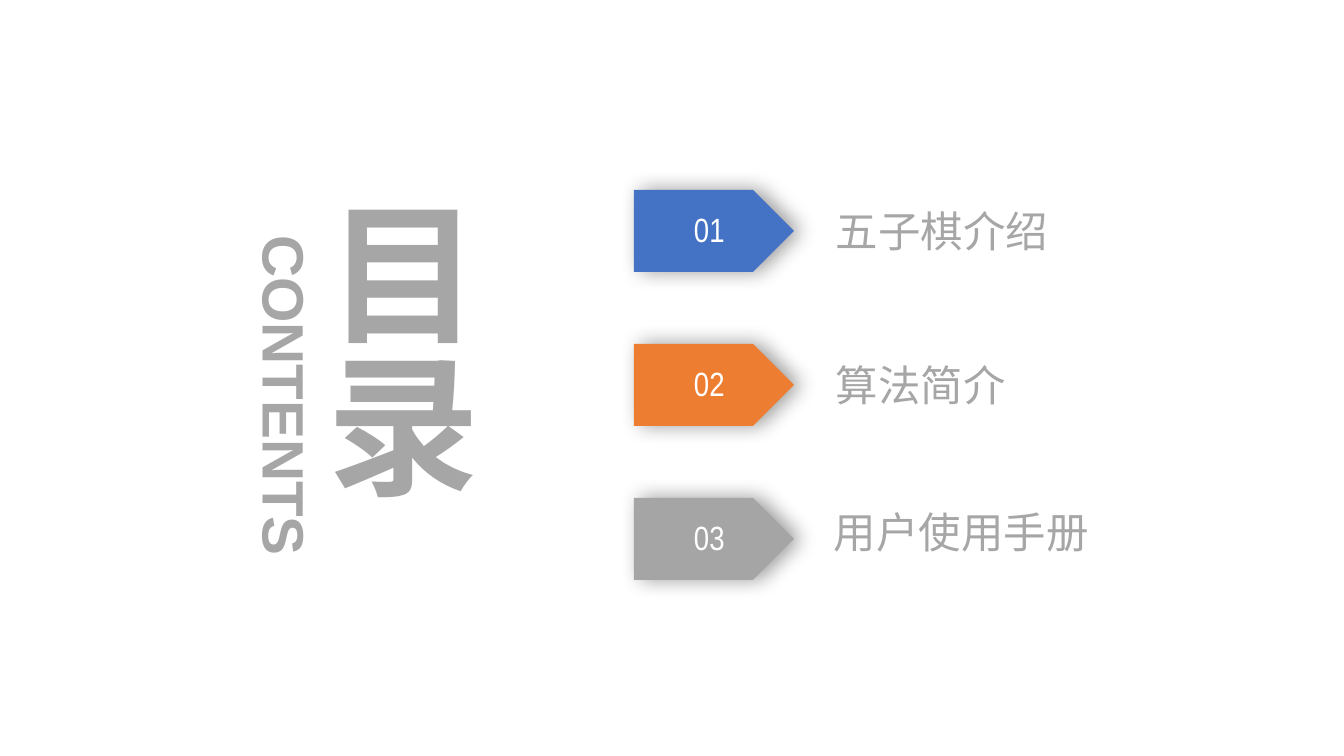
from dataclasses import dataclass

from lxml.etree import SubElement
from pptx import Presentation
from pptx.dml.color import RGBColor
from pptx.enum.shapes import MSO_SHAPE
from pptx.enum.text import MSO_ANCHOR, MSO_AUTO_SIZE, PP_ALIGN
from pptx.oxml.ns import qn
from pptx.util import Pt

TITLE = "目录"
SUBTITLE = "CONTENTS"
# number, arrow colour, label, label offset from the regular place (x, y) in px
CHAPTERS = [
    ("01", "4472C4", "五子棋介绍", (0, 0)),
    ("02", "ED7D31", "算法简介", (0, 0)),
    ("03", "A5A5A5", "用户使用手册", (-2, -7)),
]


@dataclass(frozen=True)
class Theme:
    font: str = "Arial"
    number_font: str = "Arial Narrow"
    grey: str = "A6A6A6"
    white: str = "FFFFFF"
    title_size: float = 109
    subtitle_size: float = 41.7
    label_size: float = 30.3
    number_size: float = 24


THEME = Theme()
EMU_PER_PX = 914400 / 100.8
SLIDE_SIZE = (1344, 756)
TITLE_BOX = (306, 197, 184, 396)
SUBTITLE_BOX = (113, 360, 345, 71)
ARROW_LEFT, ARROW_TOP, ARROW_WIDTH, ARROW_HEIGHT = 634, 190, 160, 82
CHAPTER_STEP = 154
LABEL_LEFT, LABEL_WIDTH, LABEL_HEIGHT = 836, 283, 51
ARROW_INSETS = (60, 5, 10, 8)


def px(length):
    return round(length * EMU_PER_PX)


def place(shape, box):
    shape.left, shape.top, shape.width, shape.height = map(px, box)


def write(shape, text, size, color=THEME.grey, font=THEME.font, bold=False,
          align=PP_ALIGN.LEFT, anchor=MSO_ANCHOR.MIDDLE, insets=(0, 0, 0, 0)):
    frame = shape.text_frame
    frame.text = text
    frame.word_wrap = True
    frame.auto_size = MSO_AUTO_SIZE.NONE
    frame.vertical_anchor = anchor
    (frame.margin_left, frame.margin_top,
     frame.margin_right, frame.margin_bottom) = map(px, insets)
    paragraph = frame.paragraphs[0]
    paragraph.alignment = align
    style = paragraph.runs[0].font
    style.name, style.size, style.bold = font, Pt(size), bold
    style.color.rgb = RGBColor.from_string(color)


def add_text(slide, box, text, size, **style):
    text_box = slide.shapes.add_textbox(*map(px, box))
    write(text_box, text, size, **style)
    return text_box


def add_soft_shadow(shape):
    shape.shadow.inherit = False
    effects = shape.element.spPr.find(qn("a:effectLst"))
    shadow = SubElement(effects, qn("a:outerShdw"), blurRad=str(Pt(15)),
                        dist=str(Pt(5)), dir="0", algn="ctr", rotWithShape="0")
    color = SubElement(shadow, qn("a:srgbClr"), val="000000")
    SubElement(color, qn("a:alpha"), val="40000")


def add_chapter(slide, index, number, color, label, offset):
    top = ARROW_TOP + index * CHAPTER_STEP
    arrow = slide.shapes.add_shape(
        MSO_SHAPE.PENTAGON, *map(px, (ARROW_LEFT, top, ARROW_WIDTH, ARROW_HEIGHT)))
    arrow.fill.solid()
    arrow.fill.fore_color.rgb = RGBColor.from_string(color)
    arrow.line.fill.background()
    add_soft_shadow(arrow)
    write(arrow, number, THEME.number_size, color=THEME.white,
          font=THEME.number_font, insets=ARROW_INSETS)

    shift_x, shift_y = offset
    label_top = top + (ARROW_HEIGHT - LABEL_HEIGHT) // 2 + shift_y
    add_text(slide, (LABEL_LEFT + shift_x, label_top, LABEL_WIDTH, LABEL_HEIGHT),
             label, THEME.label_size)


def main():
    presentation = Presentation()
    presentation.slide_width, presentation.slide_height = map(px, SLIDE_SIZE)
    slide = presentation.slides.add_slide(
        presentation.slide_layouts.get_by_name("Title Only"))

    for index, chapter in enumerate(CHAPTERS):
        add_chapter(slide, index, *chapter)

    title = slide.shapes.title
    place(title, TITLE_BOX)
    write(title, TITLE, THEME.title_size, bold=True, align=PP_ALIGN.CENTER)
    title.text_frame._txBody.bodyPr.set("vert", "eaVert")

    subtitle = add_text(slide, SUBTITLE_BOX, SUBTITLE, THEME.subtitle_size,
                        bold=True, align=PP_ALIGN.CENTER, anchor=MSO_ANCHOR.TOP)
    subtitle.rotation = 90

    presentation.save("out.pptx")


if __name__ == "__main__":
    main()
